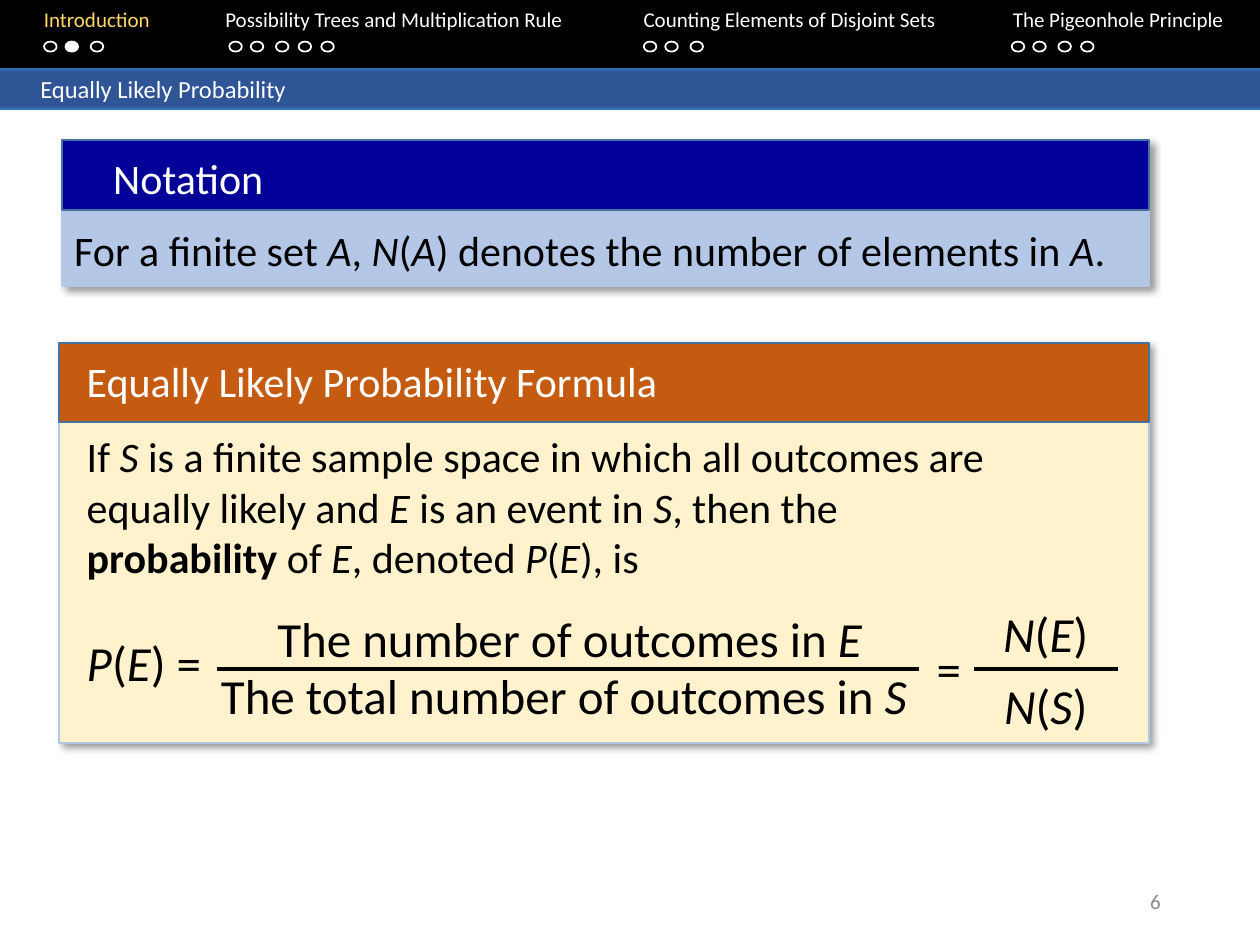
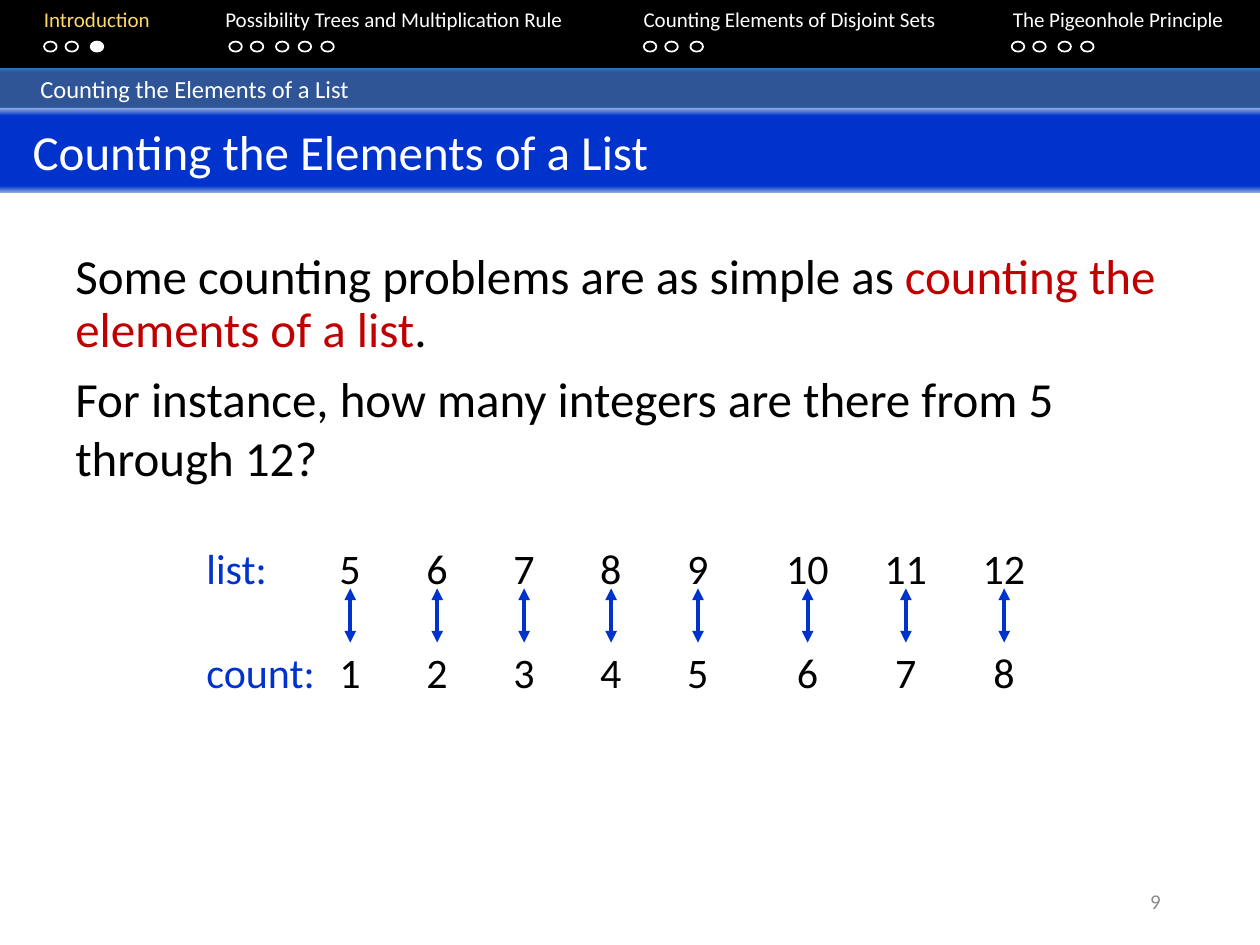
from dataclasses import dataclass
from pptx import Presentation
from pptx.dml.color import RGBColor
from pptx.enum.shapes import MSO_CONNECTOR, MSO_SHAPE
from pptx.enum.text import MSO_ANCHOR, PP_ALIGN
from pptx.oxml import parse_xml
from pptx.oxml.ns import nsdecls
from pptx.oxml.xmlchemy import OxmlElement
from pptx.util import Inches, Pt


@dataclass(frozen=True)
class Theme:
    font: str = "Calibri"
    black: str = "000000"
    white: str = "FFFFFF"
    active: str = "FFD966"
    blue: str = "0033CC"
    red: str = "C00000"
    grey: str = "8C8C8C"
    navy: str = "000099"
    orange: str = "C55A11"
    pale_blue: str = "B4C7E7"
    cream: str = "FFF2CC"
    header_line: str = "43739E"
    topic_band: tuple = ((0, "2E75B6"), (11, "2F5597"), (91, "2F5597"), (100, "2E75B6"))
    title_band: tuple = ((0, "8FAADC"), (9, "0033CC"), (92, "0033CC"), (100, "8FAADC"))
    small: int = 12
    topic: int = 14
    body: int = 24
    large: int = 28
    rule: float = 2.25


T = Theme()
prs = Presentation()
prs.slide_width, prs.slide_height = Inches(10), Inches(7.5)
CELL = prs.slide_width // 100  # square grid: 100 columns by 75 rows
INSET = 1  # text box side margin, in columns


def box(s, x, y, w, h, fill=None, line=None, kind=MSO_SHAPE.RECTANGLE):
    """Place a shape on the grid, or a text box when kind is None."""
    place = [round(v * CELL) for v in (x, y, w, h)]
    if kind is None:
        sp = s.shapes.add_textbox(*place)
        sp.text_frame.word_wrap = True
        return sp
    sp = s.shapes.add_shape(kind, *place)
    sp.shadow.inherit = False
    if fill is None:
        sp.fill.background()
    elif isinstance(fill, tuple):
        stops = "".join(f'<a:gs pos="{pos * 1000}"><a:srgbClr val="{c}"/></a:gs>'
                        for pos, c in fill)
        sp._element.spPr.insert(2, parse_xml(
            f'<a:gradFill {nsdecls("a")} rotWithShape="1"><a:gsLst>{stops}</a:gsLst>'
            '<a:lin ang="5400000" scaled="0"/></a:gradFill>'))
    else:
        sp.fill.solid()
        sp.fill.fore_color.rgb = RGBColor.from_string(fill)
    if line:
        sp.line.color.rgb = RGBColor.from_string(line)
        sp.line.width = Pt(1)
    else:
        sp.line.fill.background()
    return sp


def write(sp, runs, size, color=T.black, align=PP_ALIGN.LEFT, tabs=(), tab_kind="l"):
    """Add a paragraph of (text, colour, bold) runs; _x_ marks italics."""
    tf = sp.text_frame
    p = tf.paragraphs[0] if not tf.paragraphs[0].runs else tf.add_paragraph()
    p.alignment = align
    if tabs:
        stops = "".join(f'<a:tab pos="{round(t * CELL)}" algn="{tab_kind}"/>' for t in tabs)
        p._p.get_or_add_pPr().append(
            parse_xml(f'<a:tabLst {nsdecls("a")}>{stops}</a:tabLst>'))
    for text, run_color, bold in [(runs, None, False)] if isinstance(runs, str) else runs:
        for i, piece in enumerate(text.split("_")):
            if piece:
                r = p.add_run()
                r.text = piece
                r.font.name, r.font.size = T.font, Pt(size)
                r.font.bold, r.font.italic = bold, i % 2 == 1
                r.font.color.rgb = RGBColor.from_string(run_color or color)
    return p


# Navigation sections: name, tab stop, first dot, number of dots
SECTIONS = [
    ("Introduction", 2.5, 3.5, 3),
    ("Possibility Trees and Multiplication Rule", 16.9, 18.2, 5),
    ("Counting Elements of Disjoint Sets", 50.1, 51.1, 3),
    ("The Pigeonhole Principle", 79.4, 80.3, 4),
]
DOT_STEPS = (0, 1.7, 3.7, 5.5, 7.3)

# Shared frame: navigation, topic band, page number
slides = []
for topic, page, current_dot in [("Equally Likely Probability", "6", 1),
                                 ("Counting the Elements of a List", "9", 2)]:
    s = prs.slides.add_slide(prs.slide_layouts[6])
    slides.append(s)
    box(s, 0, -0.2, 100, 5.6, T.black)
    nav = box(s, 0, 0, 100, 5, kind=None)
    write(nav, [("\t" + name, T.white if i else T.active, False)
                for i, (name, *_) in enumerate(SECTIONS)],
          T.small, tabs=[tab for _, tab, _, _ in SECTIONS])
    for i, (_, _, first_dot, count) in enumerate(SECTIONS):
        for d, step in enumerate(DOT_STEPS[:count]):
            fill = T.white if (i, d) == (0, current_dot) else None
            box(s, first_dot + step, 3.3, 1, 0.8, fill, T.white, MSO_SHAPE.OVAL)
    band = box(s, 0, 5.4, 100, 3.3, T.topic_band)
    band.text_frame.margin_left = round(3.2 * CELL)
    write(band, topic, T.topic, T.white)
    number = box(s, 70.6, 69.5, 22.5, 4, kind=None)
    number.text_frame.vertical_anchor = MSO_ANCHOR.MIDDLE
    write(number, page, T.small, T.grey, PP_ALIGN.RIGHT)

formula_slide, list_slide = slides
lines = []  # slide, x1, y1, x2, y2, colour, arrowheads

# Slide 1: the two cards with their headers
for title, x, y, w, h, header_h, text_x, text_y, header, body in [
    ("Notation", 4.9, 11.1, 86.3, 11.6, 5.6, 8, 11.6, T.navy, T.pale_blue),
    ("Equally Likely Probability Formula", 4.7, 27.2, 86.5, 31.8, 6.3, 5.9, 27.7,
     T.orange, T.cream),
]:
    card = box(formula_slide, x, y, w, h, body, T.pale_blue)
    card._element.spPr.find("{*}effectLst").append(parse_xml(
        f'<a:outerShdw {nsdecls("a")} blurRad="{Pt(4)}" dist="{Pt(3)}" dir="2700000" '
        'algn="tl" rotWithShape="0"><a:srgbClr val="000000"><a:alpha val="40000"/>'
        '</a:srgbClr></a:outerShdw>'))
    box(formula_slide, x, y, w, header_h, header, T.header_line)
    write(box(formula_slide, text_x, text_y, 71, 5, kind=None), title, T.body, T.white)

# Slide 1: card texts
notation = box(formula_slide, 4.9, 17.3, 84.9, 5, kind=None)
write(notation, "For a finite set _A_, _N_(_A_) denotes the number of elements in _A_.",
      T.body)
definition = box(formula_slide, 5.9, 33.7, 75.7, 25.9, kind=None)
write(definition, [
    ("If _S_ is a finite sample space in which all outcomes are equally likely and "
     "_E_ is an event in _S_, then the ", None, False),
    ("probability", None, True),
    (" of _E_, denoted _P_(_E_), is", None, False)], T.body)
p = write(definition, "_P_(_E_) =", T.large)
p.space_before = Pt(29)

# Slide 1: both fractions
for text, x, y, w in [
    ("The number of outcomes in _E_", 19.3, 47.8, 51.8),
    ("The total number of outcomes in _S_", 15.4, 52.3, 58.7),
    ("=", 73.3, 50.2, 4.0),
    ("_N_(_E_)", 76, 47.4, 14),
    ("_N_(_S_)", 76, 53.1, 14),
]:
    write(box(formula_slide, x, y, w, 5.7, kind=None), text, T.large,
          align=PP_ALIGN.CENTER)
for x1, x2 in [(17.2, 72.9), (77.3, 88.7)]:
    lines.append((formula_slide, x1, 53.1, x2, 53.1, T.black, False))

# Slide 2: title band and question
title_bar = box(list_slide, 0, 8.6, 100, 6.7, T.title_band)
title_bar.text_frame.margin_left = round(2.6 * CELL)
write(title_bar, "Counting the Elements of a List", T.large, T.white)
question = box(list_slide, 5, 19.5, 90, 30.3, kind=None)
p = write(question, [("Some counting problems are as simple as ", None, False),
                     ("counting the elements of a list", T.red, False),
                     (".", None, False)], T.large)
p.line_spacing, p.space_before = 0.9, Pt(10)
p = write(question, "For instance, how many integers are there from 5 through 12?", T.large)
p.space_before = Pt(6)

# Slide 2: list and count rows, matched by double arrows
LIST_X = 15.4
columns = [27.8 + 6.9 * i for i in range(5)] + [64.1 + 7.8 * i for i in range(3)]
for label, first, y in [("list:", 5, 42.6), ("count:", 1, 50.8)]:
    numbers = "".join(f"\t{first + i}" for i in range(len(columns)))
    write(box(list_slide, LIST_X, y, 69.7, 5, kind=None),
          [(label, T.blue, False), (numbers, None, False)], T.body,
          tabs=[x - LIST_X - INSET for x in columns], tab_kind="ctr")
for x in columns:
    lines.append((list_slide, x, 46.7, x, 51, T.blue, True))

# Fraction bars and arrows
for s, x1, y1, x2, y2, color, arrows in lines:
    c = s.shapes.add_connector(MSO_CONNECTOR.STRAIGHT,
                               *[round(v * CELL) for v in (x1, y1, x2, y2)])
    c.line.color.rgb = RGBColor.from_string(color)
    c.line.width = Pt(T.rule)
    for tag in ("a:headEnd", "a:tailEnd") if arrows else ():
        end = OxmlElement(tag)
        end.set("type", "triangle")
        c.line._get_or_add_ln().append(end)
    c._element.spPr.append(OxmlElement("a:effectLst"))

prs.save("out.pptx")
